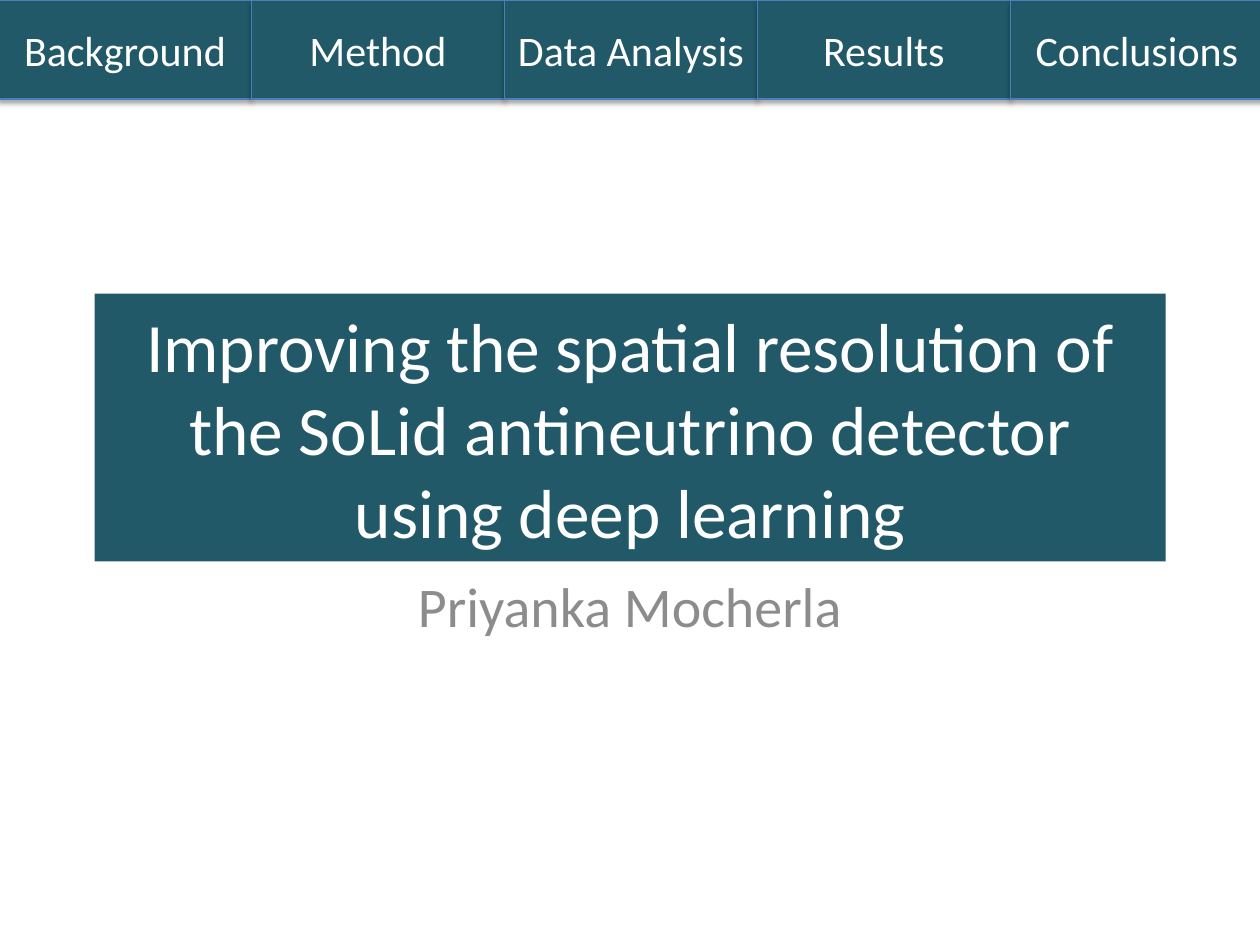
from dataclasses import dataclass

from lxml import etree
from pptx import Presentation
from pptx import util as u
from pptx.dml.color import RGBColor
from pptx.enum import shapes, text
from pptx.oxml import ns


@dataclass(frozen=True)
class Theme:
    font: str = "Calibri"
    teal: str = "215968"
    border: str = "4B7EBC"
    white: str = "FFFFFF"
    grey: str = "8C8C8C"
    shadow: str = "000000"
    title_size: float = 39.6
    author_size: float = 32
    tab_size: float = 24


class SlideBuilder:
    def __init__(self, slide, theme):
        self.slide = slide
        self.theme = theme

    def set_text(self, shape, content, size, color, anchor):
        frame = shape.text_frame
        frame.text = content
        frame.word_wrap = True
        frame.auto_size = text.MSO_AUTO_SIZE.NONE
        frame.vertical_anchor = anchor
        for paragraph in frame.paragraphs:
            paragraph.alignment = text.PP_ALIGN.CENTER
            for run in paragraph.runs:
                run.font.name = self.theme.font
                run.font.size = u.Pt(size)
                run.font.color.rgb = RGBColor.from_string(color)

    def fill(self, shape):
        shape.fill.solid()
        shape.fill.fore_color.rgb = RGBColor.from_string(self.theme.teal)

    def drop_shadow(self, shape):
        shape.shadow.inherit = False
        effects = shape._element.spPr.find(ns.qn("a:effectLst"))
        shadow = etree.SubElement(
            effects, ns.qn("a:outerShdw"), blurRad=str(u.Pt(3.1)),
            dist=str(u.Pt(1.8)), dir="5400000", rotWithShape="0")
        color = etree.SubElement(shadow, ns.qn("a:srgbClr"), val=self.theme.shadow)
        etree.SubElement(color, ns.qn("a:alpha"), val="35000")

    def title(self, content, left, top, width, height):
        title = self.slide.shapes.title
        title.left, title.top = u.Cm(left), u.Cm(top)
        title.width, title.height = u.Cm(width), u.Cm(height)
        self.fill(title)
        self.set_text(title, content, self.theme.title_size, self.theme.white,
                      text.MSO_ANCHOR.MIDDLE)

    def author(self, content, left, top, width, height):
        box = self.slide.shapes.add_textbox(
            u.Cm(left), u.Cm(top), u.Cm(width), u.Cm(height))
        self.set_text(box, content, self.theme.author_size, self.theme.grey,
                      text.MSO_ANCHOR.TOP)

    def tab(self, content, left, top, width, height):
        tab = self.slide.shapes.add_shape(
            shapes.MSO_SHAPE.RECTANGLE,
            u.Cm(left), u.Cm(top), u.Cm(width), u.Cm(height))
        self.fill(tab)
        tab.line.color.rgb = RGBColor.from_string(self.theme.border)
        tab.line.width = u.Pt(0.75)
        self.drop_shadow(tab)
        self.set_text(tab, content, self.theme.tab_size, self.theme.white,
                      text.MSO_ANCHOR.MIDDLE)


def main():
    presentation = Presentation()
    presentation.slide_width = u.Cm(25.4)
    presentation.slide_height = u.Cm(19.05)
    layout = presentation.slide_layouts.get_by_name("Title Only")
    builder = SlideBuilder(presentation.slides.add_slide(layout), Theme())

    builder.title(
        "Improving the spatial resolution of the SoLid antineutrino detector "
        "using deep learning", 1.91, 5.92, 21.59, 5.4)
    builder.author("Priyanka Mocherla", 3.81, 11.4, 17.78, 4.87)

    tab_width = 5.1
    sections = ["Background", "Method", "Data Analysis", "Results", "Conclusions"]
    for index, section in enumerate(sections):
        builder.tab(section, index * tab_width - 0.03, 0, tab_width, 2)

    presentation.save("out.pptx")


if __name__ == "__main__":
    main()
